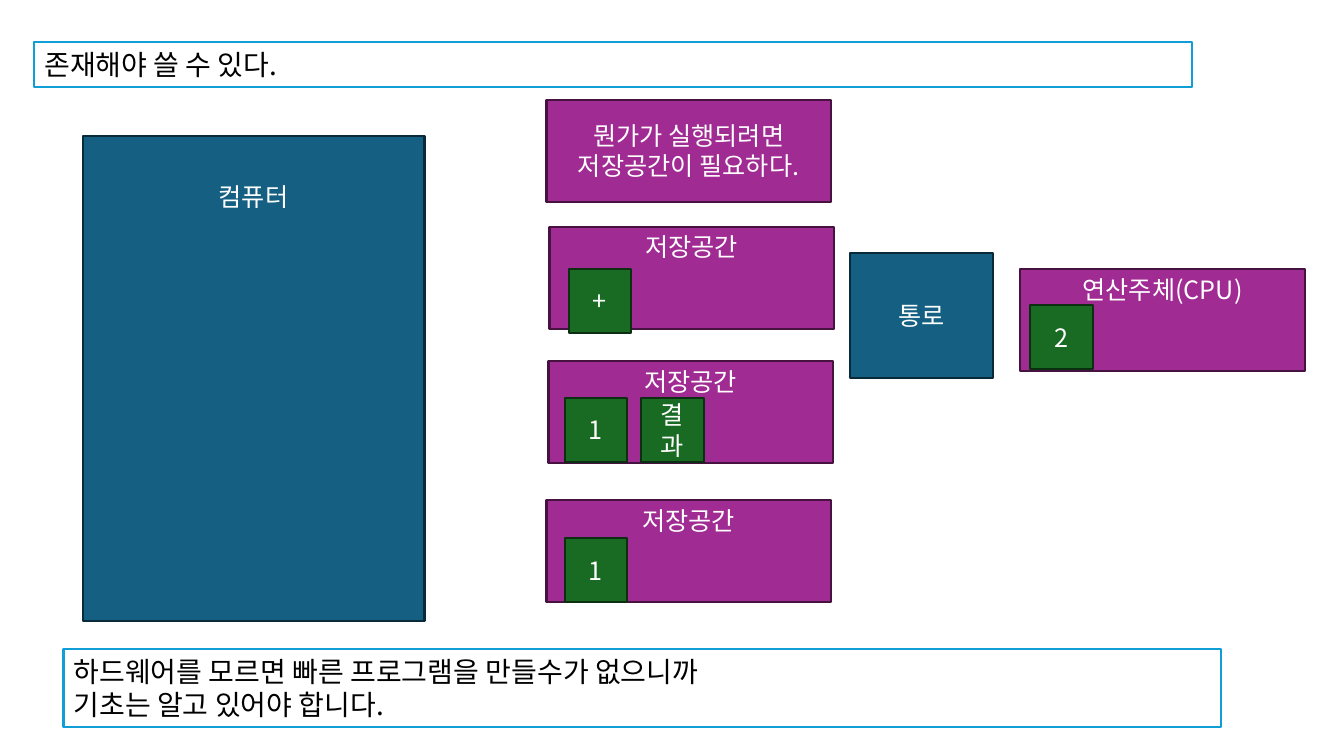
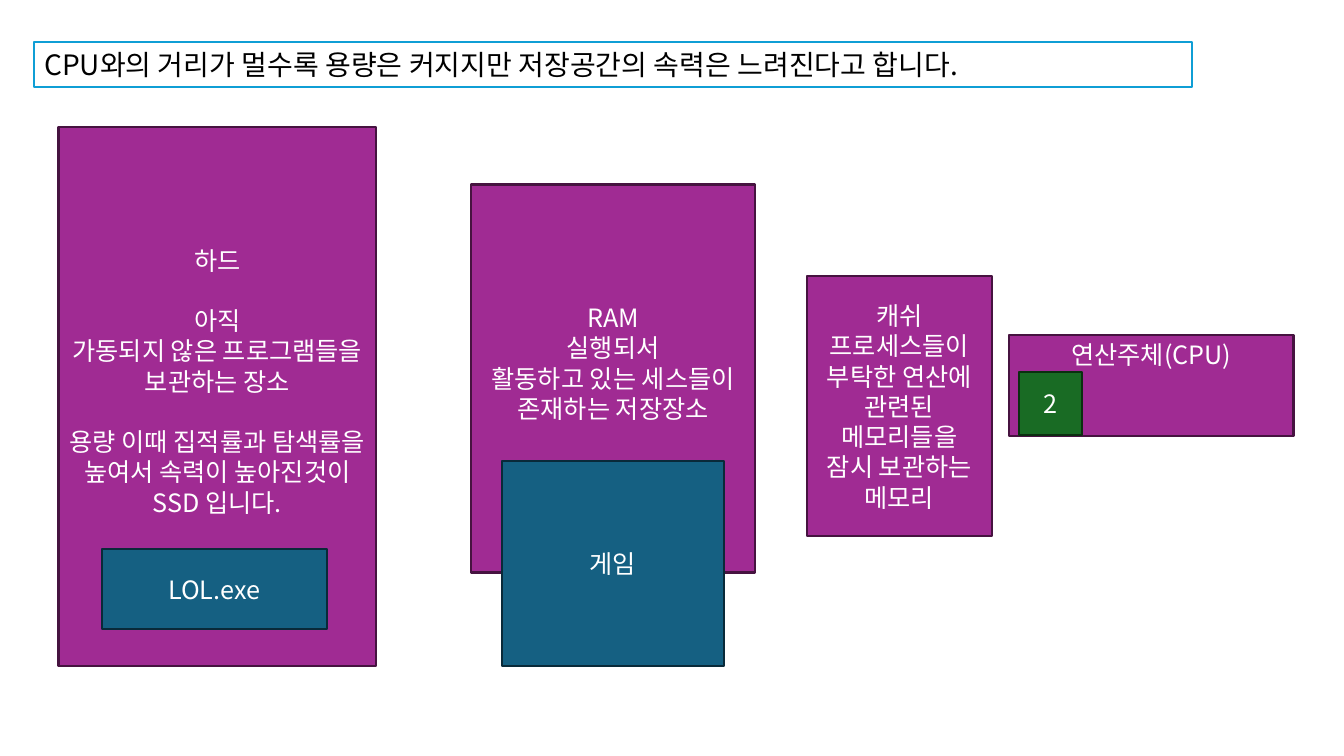
"""Build two slides on storage space, the processor and memory distance."""
from collections import namedtuple

from lxml.etree import SubElement
from pptx import Presentation
from pptx.dml.color import RGBColor
from pptx.enum.shapes import MSO_SHAPE as SHAPE
from pptx.enum.text import MSO_ANCHOR as ANCHOR, PP_ALIGN as ALIGN
from pptx.oxml.ns import qn
from pptx.util import Pt

PX = 9144
SLIDE_SIZE = 1333, 750
FONT = "Noto Sans CJK KR"
LINE_PITCH = 1.2
INSET = 5

WHITE = RGBColor(0xFF, 0xFF, 0xFF)
BLACK = RGBColor(0x00, 0x00, 0x00)
SKY = RGBColor(0x0F, 0x9E, 0xD5)
BLUE = RGBColor(0x15, 0x60, 0x82)
BLUE_EDGE = RGBColor(0x09, 0x2A, 0x39)
PURPLE = RGBColor(0xA0, 0x2B, 0x93)
PURPLE_EDGE = RGBColor(0x46, 0x13, 0x40)
GREEN = RGBColor(0x19, 0x6B, 0x24)
GREEN_EDGE = RGBColor(0x0B, 0x2F, 0x10)

Style = namedtuple("Style", "fill edge ink size align")
MACHINE = Style(BLUE, BLUE_EDGE, WHITE, 18, ALIGN.CENTER)
MEMORY = Style(PURPLE, PURPLE_EDGE, WHITE, 18, ALIGN.CENTER)
DATUM = Style(GREEN, GREEN_EDGE, WHITE, 18, ALIGN.CENTER)
CAPTION = Style(WHITE, SKY, BLACK, 20, ALIGN.LEFT)

UNIT_SIZE = 282, 101
DATUM_SIZE = 62, 63
CAPTION_WIDTH = 1148
TITLE_AREA = 34, 42, CAPTION_WIDTH, 44
CPU = "연산주체(CPU)"
STORAGE = "저장공간"

Block = namedtuple("Block", "style area lines text_top gaps", defaults=(None, ()))
Unit = namedtuple("Unit", "left top label data")

SLIDES = [
    {
        "title": "존재해야 쓸 수 있다.",
        "blocks": [
            Block(MACHINE, (82, 135, 339, 481), ["컴퓨터"], 45),
            Block(MEMORY, (542, 99, *UNIT_SIZE),
                  ["뭔가가 실행되려면", "저장공간이 필요하다."]),
            Block(MACHINE, (843, 251, 142, 124), ["통로"]),
            Block(CAPTION, (63, 644, CAPTION_WIDTH, 77),
                  ["하드웨어를 모르면 빠른 프로그램을 만들수가 없으니까",
                   "기초는 알고 있어야 합니다."], INSET),
        ],
        "units": [
            Unit(545, 225, STORAGE, [(19, 42, "+")]),
            Unit(544, 358, STORAGE, [(16, 37, "1"), (92, 37, "결과")]),
            Unit(542, 496, STORAGE, [(18, 38, "1")]),
            Unit(1012, 267, CPU, [(10, 36, "2")]),
        ],
    },
    {
        "title": "CPU와의 거리가 멀수록 용량은 커지지만 저장공간의 속력은 느려진다고 합니다.",
        "blocks": [
            Block(MEMORY, (58, 126, 315, 535),
                  ["하드", "아직", "가동되지 않은 프로그램들을 보관하는 장소",
                   "용량 이때 집적률과 탐색률을 높여서 속력이 높아진것이 SSD 입니다."],
                  117, (1, 3)),
            Block(MEMORY, (467, 183, 282, 385),
                  ["RAM", "실행되서", "활동하고 있는 세스들이 존재하는 저장장소"], 117),
            Block(MEMORY, (800, 274, 184, 258),
                  ["캐쉬", "프로세스들이 부탁한 연산에 관련된", "메모리들을",
                   "잠시 보관하는 메모리"]),
            Block(MACHINE, (101, 545, 223, 79), ["LOL.exe"]),
            Block(MACHINE, (498, 457, 220, 204), ["게임"]),
        ],
        "units": [Unit(1001, 332, CPU, [(10, 37, "2")])],
    },
]


def draw_block(slide, block):
    style = block.style
    box = slide.shapes.add_shape(SHAPE.RECTANGLE, *(v * PX for v in block.area))
    box.shadow.inherit = False
    box.fill.solid()
    box.fill.fore_color.rgb = style.fill
    box.line.color.rgb = style.edge
    box.line.width = Pt(1.5)
    frame = box.text_frame
    frame.word_wrap = True
    if block.text_top is None:
        frame.vertical_anchor = ANCHOR.MIDDLE
    else:
        frame.vertical_anchor = ANCHOR.TOP
        frame.margin_top = block.text_top * PX
    pitch = Pt(style.size * LINE_PITCH)
    for index, line in enumerate(block.lines):
        paragraph = frame.add_paragraph() if index else frame.paragraphs[0]
        paragraph.alignment = style.align
        paragraph.line_spacing = pitch
        if index in block.gaps:
            paragraph.space_before = pitch
        run = paragraph.add_run()
        run.text = line
        run.font.size = Pt(style.size)
        run.font.color.rgb = style.ink
        run.font.name = FONT
        SubElement(run.font._element, qn("a:ea")).set("typeface", FONT)


def draw_unit(slide, unit):
    area = (unit.left, unit.top, *UNIT_SIZE)
    draw_block(slide, Block(MEMORY, area, [unit.label], INSET))
    for dx, dy, value in unit.data:
        area = (unit.left + dx, unit.top + dy, *DATUM_SIZE)
        draw_block(slide, Block(DATUM, area, [value]))


def main():
    deck = Presentation()
    deck.slide_width, deck.slide_height = (v * PX for v in SLIDE_SIZE)
    for content in SLIDES:
        slide = deck.slides.add_slide(deck.slide_layouts[6])
        draw_block(slide, Block(CAPTION, TITLE_AREA, [content["title"]], INSET))
        for block in content["blocks"]:
            draw_block(slide, block)
        for unit in content["units"]:
            draw_unit(slide, unit)
    deck.save("out.pptx")


if __name__ == "__main__":
    main()
